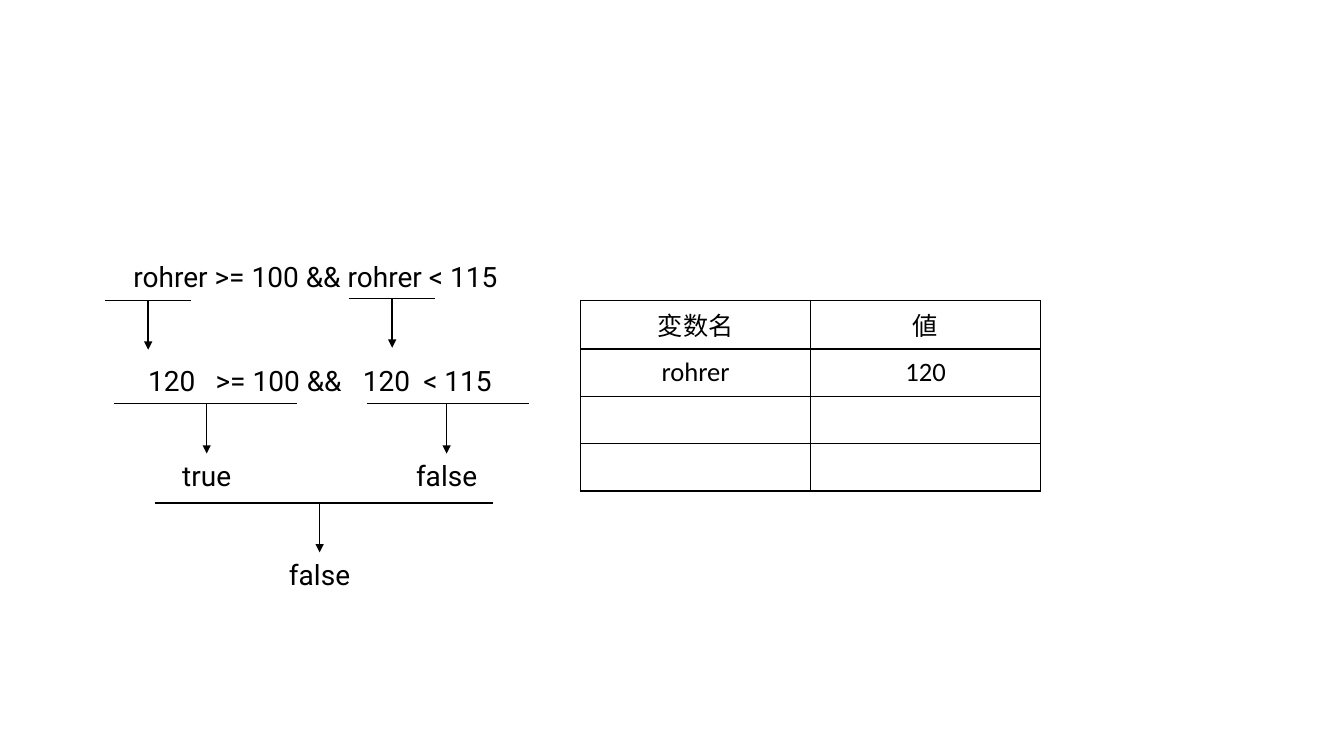
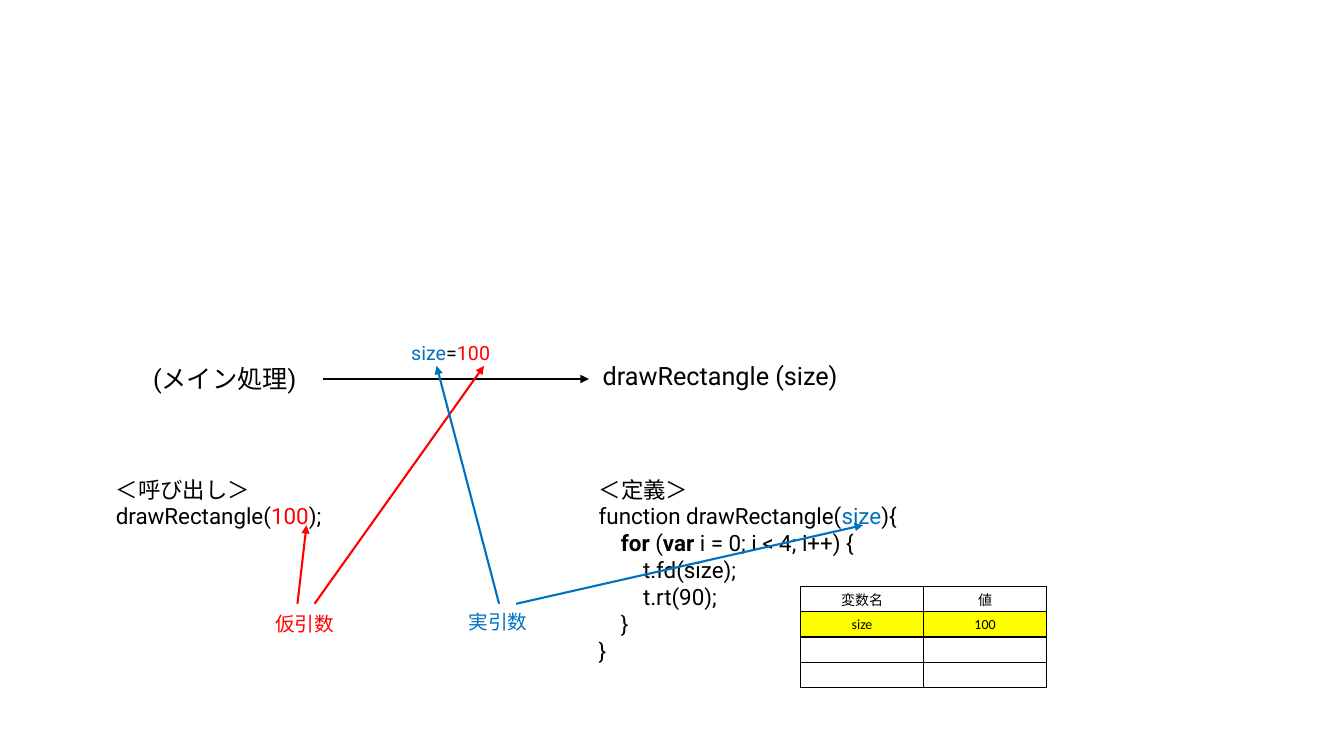
from dataclasses import dataclass
from typing import NamedTuple, Optional

from lxml import etree
from pptx import Presentation
from pptx.dml.color import RGBColor
from pptx.enum.shapes import MSO_CONNECTOR
from pptx.enum.text import MSO_ANCHOR, MSO_AUTO_SIZE, PP_ALIGN
from pptx.oxml.ns import qn
from pptx.util import Emu, Pt

# Shared style: lengths are px, 100 to the inch
PX = 9144
SLIDE_SIZE = (1333, 750)
BLANK_LAYOUT = 6
TEXT_FONT = "Roboto"
TABLE_FONT = "Calibri"
BLACK = RGBColor(0x00, 0x00, 0x00)
RED = RGBColor(0xFF, 0x00, 0x00)
BLUE = RGBColor(0x00, 0x70, 0xC0)
YELLOW = RGBColor(0xFF, 0xFF, 0x00)
LEFT, CENTER = PP_ALIGN.LEFT, PP_ALIGN.CENTER
MIDDLE = MSO_ANCHOR.MIDDLE
GROW = MSO_AUTO_SIZE.SHAPE_TO_FIT_TEXT
STRAIGHT = MSO_CONNECTOR.STRAIGHT
TOP_SIDE = 0


class Run(NamedTuple):
    text: str
    color: Optional[RGBColor] = None
    bold: bool = False


@dataclass(frozen=True)
class Label:
    left: int
    top: int
    width: int
    height: int
    size: int
    lines: tuple[tuple[Run, ...], ...]
    color: RGBColor = BLACK
    align: PP_ALIGN = LEFT
    tabs: tuple[int, ...] = ()


@dataclass(frozen=True)
class Line:
    start: tuple[int, int]
    end: tuple[int, int]
    color: RGBColor = BLACK
    weight: float = 1
    arrow: bool = False


@dataclass(frozen=True)
class Evaluation:
    """An underlined term with an arrow down to its value."""
    left: int
    right: int
    top: int
    value: Optional[Label] = None


@dataclass(frozen=True)
class VariableTable:
    left: int
    top: int
    column_width: int
    row_height: int
    variable: tuple[str, str]
    header_size: int
    body_size: int
    margins: tuple[int, int]
    highlight: Optional[RGBColor] = None


def px(length: int) -> Emu:
    return Emu(length * PX)


def plain(text: str) -> tuple[Run, ...]:
    return (Run(text),)


def draw_label(slide, label: Label):
    box = slide.shapes.add_textbox(
        px(label.left), px(label.top), px(label.width), px(label.height))
    frame = box.text_frame
    frame.word_wrap = True
    frame.auto_size = GROW
    for index, line in enumerate(label.lines):
        paragraph = frame.add_paragraph() if index else frame.paragraphs[0]
        paragraph.alignment = label.align
        if label.tabs:
            tab_list = etree.SubElement(
                paragraph._p.get_or_add_pPr(), qn("a:tabLst"))
            for position in label.tabs:
                etree.SubElement(tab_list, qn("a:tab"),
                                 pos=str(px(position)), algn="l")
        paragraph.font.name = TEXT_FONT
        paragraph.font.size = Pt(label.size)
        paragraph.font.color.rgb = label.color
        for part in line:
            run = paragraph.add_run()
            run.text = part.text
            if part.color is not None:
                run.font.color.rgb = part.color
            if part.bold:
                run.font.bold = True
    return box


def draw_line(slide, line: Line):
    connector = slide.shapes.add_connector(
        STRAIGHT, *map(px, line.start + line.end))
    connector.line.color.rgb = line.color
    connector.line.width = Pt(line.weight)
    properties = connector._element.spPr
    if line.arrow:
        etree.SubElement(properties.find(qn("a:ln")), qn("a:tailEnd"),
                         type="triangle")
    etree.SubElement(properties, qn("a:effectLst"))
    return connector


def draw_evaluation(slide, step: Evaluation, drop: int = 49) -> None:
    draw_line(slide, Line((step.left, step.top), (step.right, step.top)))
    value = step.value
    center = (value.left + value.width // 2 if value
              else (step.left + step.right + 1) // 2)
    arrow = draw_line(slide, Line((center, step.top),
                                  (center, step.top + drop), arrow=True))
    if value:
        arrow.end_connect(draw_label(slide, value), TOP_SIDE)


def draw_borders(cell) -> None:
    properties = cell._tc.get_or_add_tcPr()
    for side in ("a:lnL", "a:lnR", "a:lnT", "a:lnB"):
        border = etree.SubElement(properties, qn(side), w=str(Pt(1)))
        fill = etree.SubElement(border, qn("a:solidFill"))
        etree.SubElement(fill, qn("a:srgbClr"), val=str(BLACK))


def draw_table(slide, spec_table: VariableTable) -> None:
    rows = (("変数名", "値"), spec_table.variable, ("", ""), ("", ""))
    columns = len(rows[0])
    table = slide.shapes.add_table(
        len(rows), columns, px(spec_table.left), px(spec_table.top),
        px(spec_table.column_width * columns),
        px(spec_table.row_height * len(rows))).table
    table.first_row = table.horz_banding = False
    side, edge = map(px, spec_table.margins)
    for row, texts in enumerate(rows):
        for column, text in enumerate(texts):
            cell = table.cell(row, column)
            draw_borders(cell)
            if row == 1 and spec_table.highlight is not None:
                cell.fill.solid()
                cell.fill.fore_color.rgb = spec_table.highlight
            else:
                cell.fill.background()
            cell.margin_left = cell.margin_right = side
            cell.margin_top = cell.margin_bottom = edge
            cell.vertical_anchor = MIDDLE
            paragraph = cell.text_frame.paragraphs[0]
            paragraph.alignment = CENTER
            paragraph.font.name = TABLE_FONT
            paragraph.font.size = Pt(
                spec_table.body_size if row else spec_table.header_size)
            paragraph.font.color.rgb = BLACK
            if text:
                paragraph.add_run().text = text


def value_label(text: str, left: int, top: int, width: int) -> Label:
    return Label(left, top, width, 44, 20, (plain(text),), align=CENTER)


# Slide 1: evaluating a condition step by step
CONDITION = Label(93, 253, 440, 44, 20,
                  (plain("rohrer >= 100 && rohrer < 115"),), align=CENTER)
SUBSTITUTED = Label(137, 356, 384, 44, 20,
                    (plain("120\t>= 100 &&\t120\t< 115"),),
                    tabs=(67, 213, 273))
EVALUATIONS = (
    Evaluation(104, 189, 298),
    Evaluation(346, 431, 296),
    Evaluation(113, 295, 400, value_label("true", 167, 450, 76)),
    Evaluation(364, 525, 400, value_label("false", 401, 450, 84)),
    Evaluation(154, 489, 499, value_label("false", 275, 548, 84)),
)
CONDITION_TABLE = VariableTable(576, 298, 228, 47, ("rohrer", "120"),
                                18, 19, (11, 6))

# Slide 2: passing an argument to a function
CALL_LABELS = (
    Label(142, 356, 210, 40, 18, (plain("(メイン処理)"),)),
    Label(588, 353, 440, 40, 18, (plain("drawRectangle (size)"),)),
    Label(398, 333, 135, 34, 14,
          ((Run("size", BLUE), Run("="), Run("100", RED)),)),
    Label(105, 467, 328, 64, 16, (
        plain("＜呼び出し＞"),
        (Run("drawRectangle("), Run("100", RED), Run(");")))),
    Label(584, 467, 357, 199, 16, (
        plain("＜定義＞"),
        (Run("function drawRectangle("), Run("size", BLUE), Run("){")),
        (Run("    for", bold=True), Run(" ("), Run("var", bold=True),
         Run(" i = 0; i < 4; i++) {")),
        plain("        t.fd(size);"),
        plain("        t.rt(90);"),
        plain("    }"),
        plain("}"))),
    Label(263, 602, 84, 34, 14, (plain("仮引数"),), RED),
    Label(455, 600, 84, 34, 14, (plain("実引数"),), BLUE),
)
CALL_ARROWS = (
    ((320, 376), (584, 376), BLACK),
    ((295, 599), (304, 521), RED),
    ((312, 599), (480, 363), RED),
    ((495, 599), (433, 363), BLUE),
    ((512, 599), (856, 521), BLUE),
)
CALL_TABLE = VariableTable(794, 582, 122, 25, ("size", "100"),
                           10, 10, (6, 3), YELLOW)


def build_condition_slide(slide) -> None:
    draw_table(slide, CONDITION_TABLE)
    for expression in (CONDITION, SUBSTITUTED):
        draw_label(slide, expression)
    for step in EVALUATIONS:
        draw_evaluation(slide, step)


def build_call_slide(slide) -> None:
    for label in CALL_LABELS:
        draw_label(slide, label)
    for start, end, color in CALL_ARROWS:
        draw_line(slide, Line(start, end, color, 1.5, arrow=True))
    draw_table(slide, CALL_TABLE)


def main() -> None:
    deck = Presentation()
    deck.slide_width, deck.slide_height = map(px, SLIDE_SIZE)
    for build in (build_condition_slide, build_call_slide):
        build(deck.slides.add_slide(deck.slide_layouts[BLANK_LAYOUT]))
    deck.save("out.pptx")


if __name__ == "__main__":
    main()
